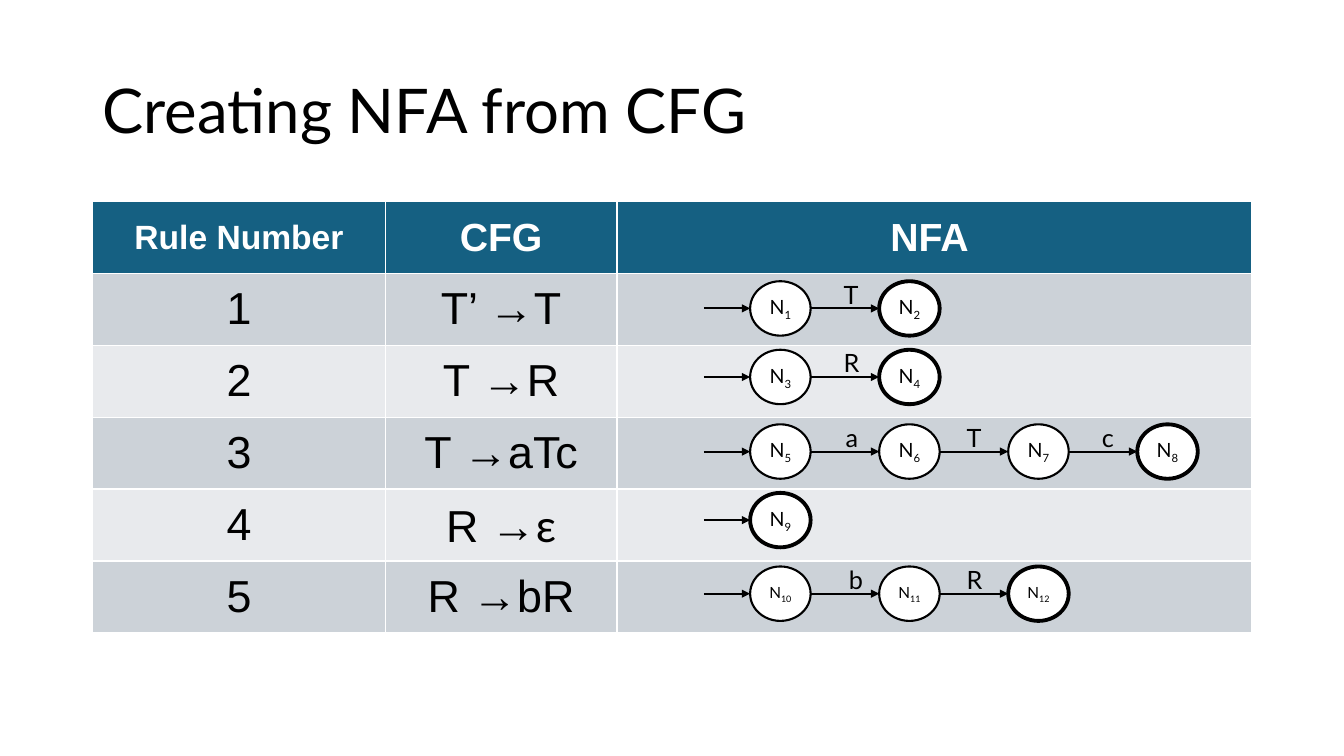
from itertools import count

from lxml.etree import SubElement
from pptx import Presentation
from pptx.dml.color import RGBColor
from pptx.enum.shapes import MSO_CONNECTOR, MSO_SHAPE
from pptx.enum.text import MSO_ANCHOR, MSO_AUTO_SIZE, PP_ALIGN
from pptx.oxml.ns import qn
from pptx.util import Inches, Pt

BLACK = RGBColor(0x00, 0x00, 0x00)
WHITE = RGBColor(0xFF, 0xFF, 0xFF)
HEADER = RGBColor(0x15, 0x60, 0x82)
BANDS = (RGBColor(0xCC, 0xD2, 0xD8), RGBColor(0xE8, 0xEA, 0xED))

COL_WIDTHS = (2.9, 2.3, 6.29)
HEADINGS = (("Rule Number", 24), ("CFG", 28), ("NFA ", 28))
RULES = (("T’ →T", ""), ("T →R", ""), ("T →aTc", ""), ("R →", "ε"), ("R →bR", ""))

NODE_W, NODE_H = 0.6, 0.54
START_X, NODE_X, NODE_STEP = 6.98, 7.44, 1.28
AUTOMATA = (
    (3.06, (("T", 8.27),)),
    (3.74, (("R", 8.27),)),
    (4.48, (("a", 8.29), ("T", 9.49), ("c", 10.83))),
    (5.16, ()),
    (5.89, (("b", 8.32), ("R", 9.49))),
)


class Deck:
    """Hold the text style and the slide, and draw its elements."""

    def __init__(self, prs):
        self.style = {"name": "Lato", "size": Pt(18), "bold": False}
        self.s = prs.slides.add_slide(prs.slide_layouts[5])

    def text(self, p, text, color=BLACK, **fmt):
        """Add a formatted run to a paragraph."""
        r = p.add_run()
        r.text = text
        for key, value in {**self.style, **fmt}.items():
            setattr(r.font, key, value)
        r.font.color.rgb = color
        return r

    def title(self, text):
        """Place and format the title."""
        sp = self.s.shapes.title
        sp.left, sp.top, sp.width, sp.height = map(Inches, (0.92, 0.4, 11.5, 1.45))
        tf = sp.text_frame
        tf.auto_size, tf.vertical_anchor = MSO_AUTO_SIZE.NONE, MSO_ANCHOR.MIDDLE
        p = tf.paragraphs[0]
        p.alignment, p.line_spacing = PP_ALIGN.LEFT, 0.9
        self.text(p, text, size=Pt(44))

    def cell(self, cell, fill):
        """Fill a cell and return its centred paragraph."""
        cell.fill.solid()
        cell.fill.fore_color.rgb = fill
        cell.vertical_anchor = MSO_ANCHOR.MIDDLE
        p = cell.text_frame.paragraphs[0]
        p.alignment = PP_ALIGN.CENTER
        return p

    def table(self):
        """Draw the table of grammar rules."""
        frame = self.s.shapes.add_table(
            len(RULES) + 1, len(COL_WIDTHS),
            *map(Inches, (0.92, 2, sum(COL_WIDTHS), 4.28)))
        table = frame.table
        for col, (width, (text, size)) in enumerate(zip(COL_WIDTHS, HEADINGS)):
            table.columns[col].width = Inches(width)
            p = self.cell(table.cell(0, col), HEADER)
            self.text(p, text, WHITE, name="Arial", size=Pt(size), bold=True)
        for row, (rule, symbol) in enumerate(RULES, 1):
            number, cfg, _ = (self.cell(table.cell(row, col), BANDS[(row - 1) % 2])
                              for col in range(len(COL_WIDTHS)))
            self.text(number, str(row), name="Arial", size=Pt(32))
            self.text(cfg, rule, name="Arial", size=Pt(32))
            if symbol:
                self.text(cfg, symbol, size=Pt(32))

    def node(self, x, mid, number, final):
        """Draw a state, with a heavy outline if it is final."""
        sp = self.s.shapes.add_shape(
            MSO_SHAPE.FLOWCHART_CONNECTOR,
            *map(Inches, (x, mid - NODE_H / 2, NODE_W, NODE_H)))
        sp.shadow.inherit = False
        sp.fill.solid()
        sp.fill.fore_color.rgb = WHITE
        sp.line.color.rgb = BLACK
        sp.line.width = Pt(2.75 if final else 1.5)
        tf = sp.text_frame
        tf.word_wrap, tf.vertical_anchor = False, MSO_ANCHOR.MIDDLE
        p = tf.paragraphs[0]
        p.alignment = PP_ALIGN.CENTER
        size = Pt(14 if number < 10 else 11)
        self.text(p, "N", size=size)
        r = self.text(p, str(number), size=size)
        r._r.get_or_add_rPr().set("baseline", "-25000")

    def arrow(self, x1, x2, y):
        """Draw a horizontal arrow."""
        sp = self.s.shapes.add_connector(
            MSO_CONNECTOR.STRAIGHT, *map(Inches, (x1, y, x2, y)))
        sp.line.color.rgb = BLACK
        sp.line.width = Pt(1.5)
        sp_pr = sp._element.spPr
        SubElement(sp_pr.get_or_add_ln(), qn("a:tailEnd"), type="triangle")
        SubElement(sp_pr, qn("a:effectLst"))

    def label(self, text, x, mid):
        """Put the symbol above a transition."""
        sp = self.s.shapes.add_textbox(*map(Inches, (x, mid - 0.34, 0.36, 0.4)))
        tf = sp.text_frame
        tf.word_wrap = True
        self.text(tf.paragraphs[0], text)

    def automaton(self, mid, labels, numbers):
        """Draw one row of states and transitions."""
        self.arrow(START_X, NODE_X, mid)
        for i in range(len(labels) + 1):
            x = NODE_X + i * NODE_STEP
            self.node(x, mid, next(numbers), i == len(labels))
            if i < len(labels):
                self.arrow(x + NODE_W, x + NODE_STEP, mid)
                self.label(*labels[i], mid)


def main():
    """Build and save the slide."""
    prs = Presentation()
    prs.slide_width, prs.slide_height = Inches(13.33), Inches(7.5)
    deck = Deck(prs)
    deck.title("Creating NFA from CFG")
    deck.table()
    numbers = count(1)
    for mid, labels in AUTOMATA:
        deck.automaton(mid, labels, numbers)
    prs.save("out.pptx")


if __name__ == "__main__":
    main()
